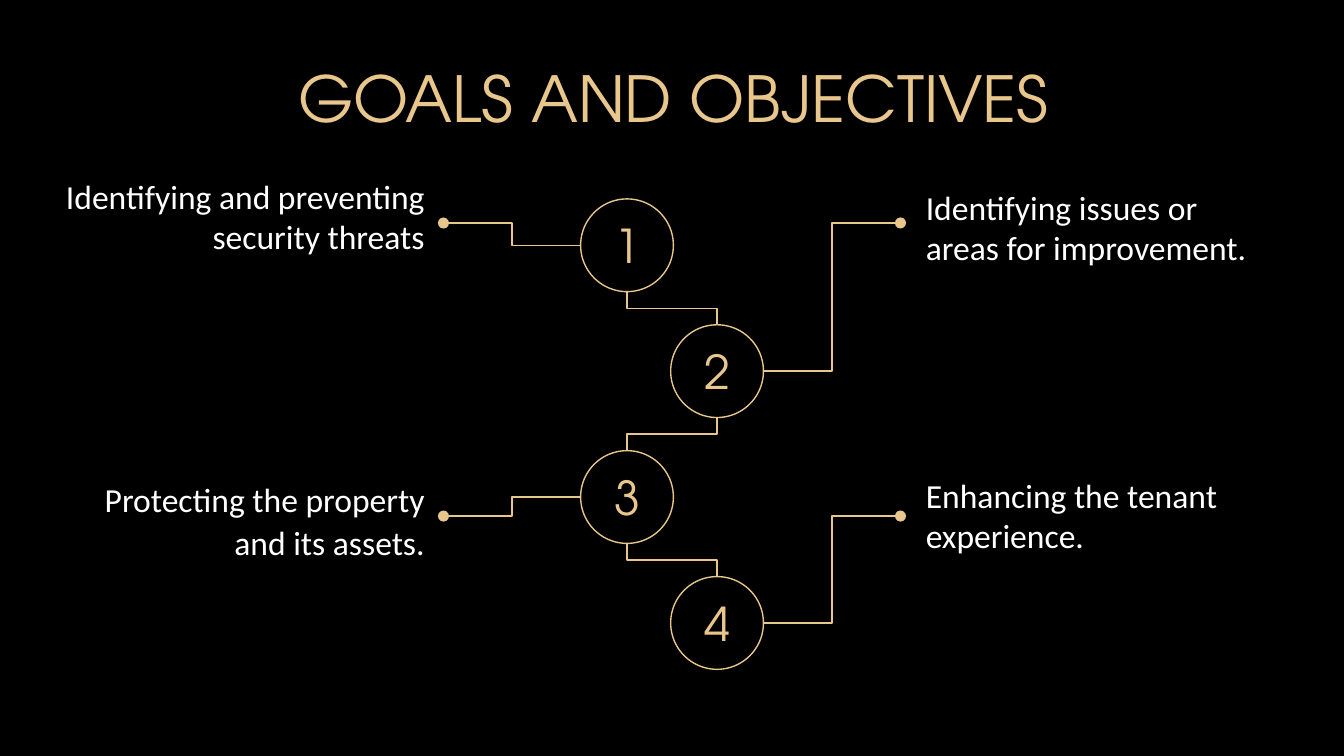
from lxml import etree
from pptx import Presentation
from pptx.dml.color import RGBColor
from pptx.enum import shapes, text
from pptx.oxml import ns
from pptx.util import Inches, Pt

GOLD = "E9C78C"
HEAD = "TeX Gyre Adventor"
ALIGN = text.PP_ALIGN
TOP, MID = text.MSO_ANCHOR.TOP, text.MSO_ANCHOR.MIDDLE


def write(shape, words, size=18, font="Calibri", color="FFFFFF",
          align=ALIGN.LEFT, anchor=TOP, left=0.1, space=None, after=0):
    frame = shape.text_frame
    frame.word_wrap = True
    frame.auto_size = text.MSO_AUTO_SIZE.NONE
    frame.vertical_anchor = anchor
    frame.margin_left = Inches(left)
    frame.margin_right = frame.margin_top = frame.margin_bottom = Inches(0.1)
    para = frame.paragraphs[0]
    para.alignment = align
    para.line_spacing = space
    para.space_before, para.space_after = Pt(0), Pt(after)
    run = para.add_run()
    run.text = words
    run.font.size, run.font.name = Pt(size), font
    run.font.color.rgb = RGBColor.from_string(color)


def link(x1, y1, x2, y2, turn=0, dot=False):
    line = slide.shapes.add_connector(
        shapes.MSO_CONNECTOR.ELBOW, *[Inches(v) for v in (x1, y1, x2, y2)])
    line.line.color.rgb = RGBColor.from_string(GOLD)
    line.line.width = Pt(0.75)
    props = line._element.spPr
    etree.SubElement(props, ns.qn("a:effectLst"))
    if turn:
        props.find(ns.qn("a:xfrm")).set("rot", str(turn * 60000))
    if dot:
        etree.SubElement(props.find(ns.qn("a:ln")), ns.qn("a:tailEnd"), type="oval")


# Widescreen slide (16:9) and background
prs = Presentation()
prs.slide_width = Inches(10)
prs.slide_height = Inches(10 * 9 / 16)
slide = prs.slides.add_slide(prs.slide_layouts[5])
fill = slide.background.fill
fill.solid()
fill.fore_color.rgb = RGBColor.from_string("000000")

# Title
title = slide.shapes.title
title.left, title.top = Inches(0.79), Inches(0.34)
title.width, title.height = Inches(8.44), Inches(0.58)
write(title, "GOALS AND OBJECTIVES", size=34, font=HEAD, color=GOLD, align=ALIGN.CENTER)

# Goals: words, text top, dot height, paragraph format
goals = [
    ("Identifying and preventing security threats", 1.21, 1.66, dict(after=12)),
    ("Identifying issues or areas for improvement.", 1.29, 1.66, {}),
    ("Protecting the property and its assets.", 3.44, 3.84,
     dict(left=0.48, space=1.07, after=8)),
    ("Enhancing the tenant experience.", 3.43, 3.84, {}),
]
SIZE, FIRST, LAST = 0.69, 1.48, 4.29
STEP = (LAST - FIRST) / (len(goals) - 1)
COLS = (4.32, 4.99)

for i, (words, top, dot, form) in enumerate(goals):
    right = i % 2 == 1
    x, y = COLS[right], FIRST + i * STEP

    # Numbered circle
    ring = slide.shapes.add_shape(shapes.MSO_SHAPE.OVAL, Inches(x), Inches(y),
                                  Inches(SIZE), Inches(SIZE))
    ring.shadow.inherit = False
    ring.fill.background()
    ring.line.color.rgb = RGBColor.from_string(GOLD)
    ring.line.width = Pt(0.75)
    write(ring, str(i + 1), size=25, font=HEAD, color=GOLD,
          align=ALIGN.CENTER, anchor=MID)

    # Line from the circle out to its dot
    edge = x + SIZE if right else x
    link(edge, y + SIZE / 2, 6.7 if right else 3.3, dot, dot=True)

    # Goal text
    box = slide.shapes.add_textbox(Inches(6.79 if right else 0.03), Inches(top),
                                   Inches(2.67 if right else 3.23), Inches(0.91))
    write(box, words, align=ALIGN.LEFT if right else ALIGN.RIGHT, **form)

# Steps between circles: elbows turned a quarter so they leave downwards
midx = (sum(COLS) + SIZE) / 2
gap, run = (STEP - SIZE) / 2, (COLS[1] - COLS[0]) / 2
for i in range(len(goals) - 1):
    midy = FIRST + i * STEP + SIZE + gap
    side = -1 if i % 2 else 1
    link(midx + side * gap, midy - run, midx - side * gap, midy + run,
         turn=90 if i % 2 else 270)

prs.save("out.pptx")
